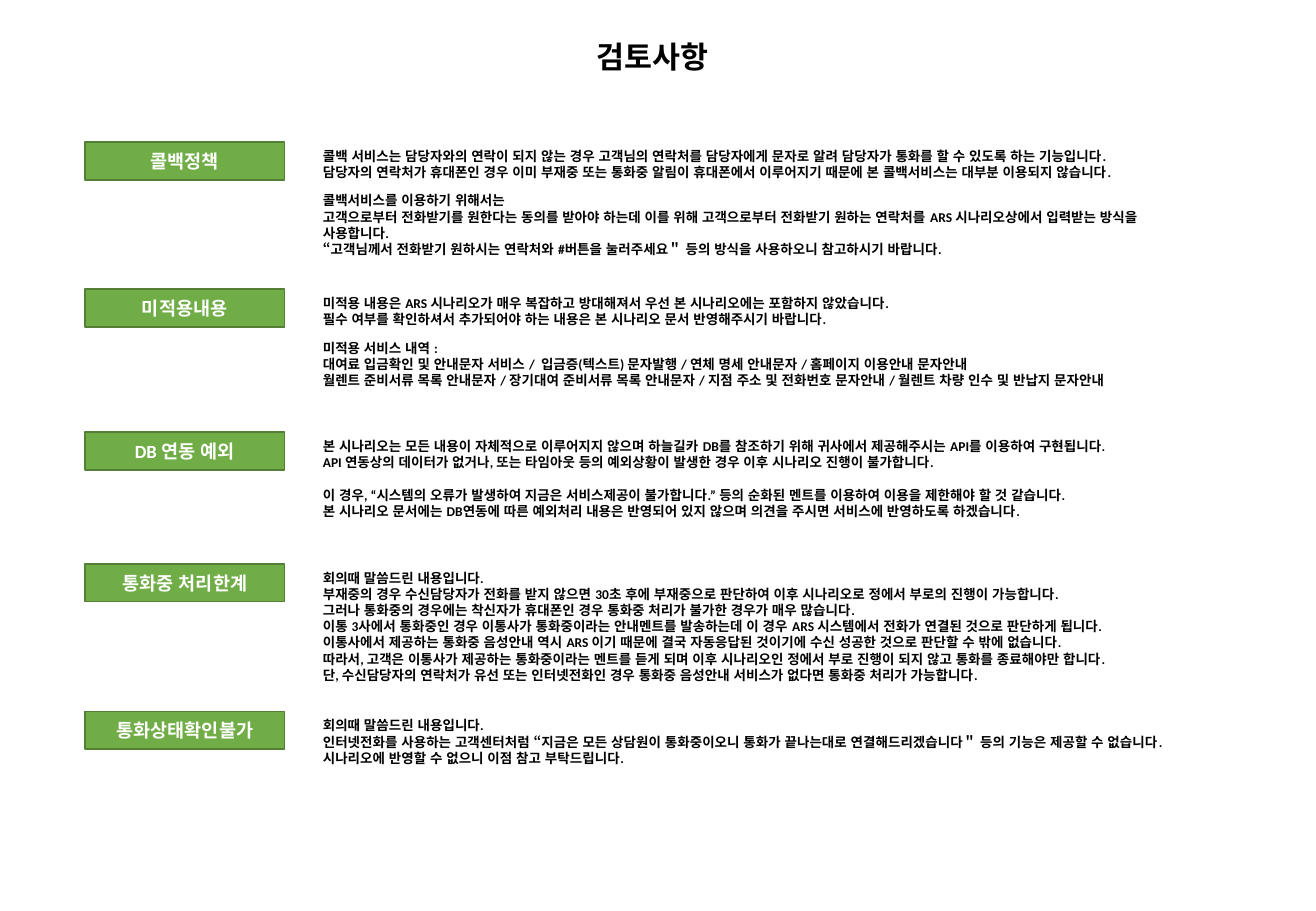
import pptx
import pptx.dml.color
import pptx.enum.lang
import pptx.enum.shapes
import pptx.enum.text
import pptx.util
from pptx.util import Cm

COLORS = {"label": "70AD47", "border": "538035", "light": "FFFFFF", "dark": "000000"}
FONT = "Calibri"
LABEL_LEFT, LABEL_WIDTH, LABEL_HEIGHT = 1.78, 4.17, 0.79
BODY_LEFT = 6.5
LINE_HEIGHT, BODY_INSETS = 0.34, 0.25
BODY_SIZE, GAP_BEFORE = 8, 9.5

SECTIONS = [
    ("콜백정책", 2.97, [
        (18.72, 2, [[
            "콜백 서비스는 담당자와의 연락이 되지 않는 경우 고객님의 연락처를 담당자에게 문자로 알려 담당자가 통화를 할 수 있도록 하는 기능입니다.",
            "담당자의 연락처가 휴대폰인 경우 이미 부재중 또는 통화중 알림이 휴대폰에서 이루어지기 때문에 본 콜백서비스는 대부분 이용되지 않습니다.",
        ]]),
        (18.57, 4, [[
            "콜백서비스를 이용하기 위해서는",
            "고객으로부터 전화받기를 원한다는 동의를 받아야 하는데 이를 위해 고객으로부터 전화받기 원하는 연락처를 ARS 시나리오상에서 입력받는 방식을 사용합니다.",
            "“고객님께서 전화받기 원하시는 연락처와 #버튼을 눌러주세요＂ 등의 방식을 사용하오니 참고하시기 바랍니다.",
        ]]),
    ]),
    ("미적용내용", 6.05, [
        (16.41, 2, [[
            "미적용 내용은 ARS 시나리오가 매우 복잡하고 방대해져서 우선 본 시나리오에는 포함하지 않았습니다.",
            "필수 여부를 확인하셔서 추가되어야 하는 내용은 본 시나리오 문서 반영해주시기 바랍니다.",
        ]]),
        (18.57, 3, [[
            "미적용 서비스 내역 :",
            "대여료 입금확인 및 안내문자 서비스 /  입금증(텍스트) 문자발행 / 연체 명세 안내문자 / 홈페이지 이용안내 문자안내",
            "월렌트 준비서류 목록 안내문자 / 장기대여 준비서류 목록 안내문자 / 지점 주소 및 전화번호 문자안내 / 월렌트 차량 인수 및 반납지 문자안내",
        ]]),
    ]),
    ("DB 연동 예외", 9.04, [
        (18.24, 5, [[
            "본 시나리오는 모든 내용이 자체적으로 이루어지지 않으며 하늘길카 DB를 참조하기 위해 귀사에서 제공해주시는 API를 이용하여 구현됩니다.",
            "API 연동상의 데이터가 없거나, 또는 타임아웃 등의 예외상황이 발생한 경우 이후 시나리오 진행이 불가합니다.",
        ], [
            "이 경우, “시스템의 오류가 발생하여 지금은 서비스제공이 불가합니다.” 등의 순화된 멘트를 이용하여 이용을 제한해야 할 것 같습니다.",
            "본 시나리오 문서에는 DB연동에 따른 예외처리 내용은 반영되어 있지 않으며 의견을 주시면 서비스에 반영하도록 하겠습니다.",
        ]]),
    ]),
    ("통화중 처리한계", 11.79, [
        (18.24, 7, [[
            "회의때 말씀드린 내용입니다.",
            "부재중의 경우 수신담당자가 전화를 받지 않으면 30초 후에 부재중으로 판단하여 이후 시나리오로 정에서 부로의 진행이 가능합니다.",
            "그러나 통화중의 경우에는 착신자가 휴대폰인 경우 통화중 처리가 불가한 경우가 매우 많습니다.",
            "이통 3사에서 통화중인 경우 이통사가 통화중이라는 안내멘트를 발송하는데 이 경우 ARS 시스템에서 전화가 연결된 것으로 판단하게 됩니다.",
            "이통사에서 제공하는 통화중 음성안내 역시 ARS 이기 때문에 결국 자동응답된 것이기에 수신 성공한 것으로 판단할 수 밖에 없습니다.",
            "따라서, 고객은 이통사가 제공하는 통화중이라는 멘트를 듣게 되며 이후 시나리오인 정에서 부로 진행이 되지 않고 통화를 종료해야만 합니다.",
            "단, 수신담당자의 연락처가 유선 또는 인터넷전화인 경우 통화중 음성안내 서비스가 없다면 통화중 처리가 가능합니다.",
        ]]),
    ]),
    ("통화상태확인불가", 14.88, [
        (18.24, 3, [[
            "회의때 말씀드린 내용입니다.",
            "인터넷전화를 사용하는 고객센터처럼 “지금은 모든 상담원이 통화중이오니 통화가 끝나는대로 연결해드리겠습니다＂ 등의 기능은 제공할 수 없습니다. 시나리오에 반영할 수 없으니 이점 참고 부탁드립니다.",
        ]]),
    ]),
]


def color(name):
    return pptx.dml.color.RGBColor.from_string(COLORS[name])


def add_run(paragraph, text, size, color_name):
    run = paragraph.add_run()
    run.text = text
    run.font.name = FONT
    run.font.size = pptx.util.Pt(size)
    run.font.bold = True
    run.font.color.rgb = color(color_name)
    run.font.language_id = pptx.enum.lang.MSO_LANGUAGE_ID.KOREAN


def format_title(slide, text):
    title = slide.shapes.title
    title.left, title.top, title.width, title.height = Cm(12.22), Cm(0.66), Cm(3.07), Cm(1.02)
    frame = title.text_frame
    frame.auto_size = pptx.enum.text.MSO_AUTO_SIZE.NONE
    frame.vertical_anchor = pptx.enum.text.MSO_ANCHOR.TOP
    paragraph = frame.paragraphs[0]
    paragraph.alignment = pptx.enum.text.PP_ALIGN.LEFT
    add_run(paragraph, text, 18, "dark")


def add_label(slide, text, top):
    shape = slide.shapes.add_shape(
        pptx.enum.shapes.MSO_SHAPE.RECTANGLE,
        Cm(LABEL_LEFT), Cm(top), Cm(LABEL_WIDTH), Cm(LABEL_HEIGHT))
    shape.shadow.inherit = False
    shape.fill.solid()
    shape.fill.fore_color.rgb = color("label")
    shape.line.color.rgb = color("border")
    shape.line.width = pptx.util.Pt(1)
    shape.text_frame.vertical_anchor = pptx.enum.text.MSO_ANCHOR.MIDDLE
    paragraph = shape.text_frame.paragraphs[0]
    paragraph.alignment = pptx.enum.text.PP_ALIGN.CENTER
    add_run(paragraph, text, 11, "light")


def add_body(slide, top, width, height, groups):
    shape = slide.shapes.add_textbox(Cm(BODY_LEFT), Cm(top), Cm(width), Cm(height))
    frame = shape.text_frame
    frame.word_wrap = True
    frame.auto_size = pptx.enum.text.MSO_AUTO_SIZE.SHAPE_TO_FIT_TEXT
    paragraph = frame.paragraphs[0]
    for group_index, group in enumerate(groups):
        for line_index, text in enumerate(group):
            if group_index or line_index:
                paragraph = frame.add_paragraph()
            if group_index and line_index == 0:
                paragraph.space_before = pptx.util.Pt(GAP_BEFORE)
            add_run(paragraph, text, BODY_SIZE, "dark")


def add_section(slide, label, top, bodies):
    add_label(slide, label, top)
    for width, line_count, groups in bodies:
        height = BODY_INSETS + LINE_HEIGHT * line_count
        add_body(slide, top, width, height, groups)
        top += height


def main():
    presentation = pptx.Presentation()
    presentation.slide_width, presentation.slide_height = Cm(27.51), Cm(19.05)
    slide = presentation.slides.add_slide(presentation.slide_layouts[5])
    format_title(slide, "검토사항")
    for label, top, bodies in SECTIONS:
        add_section(slide, label, top, bodies)
    presentation.save("out.pptx")


main()
